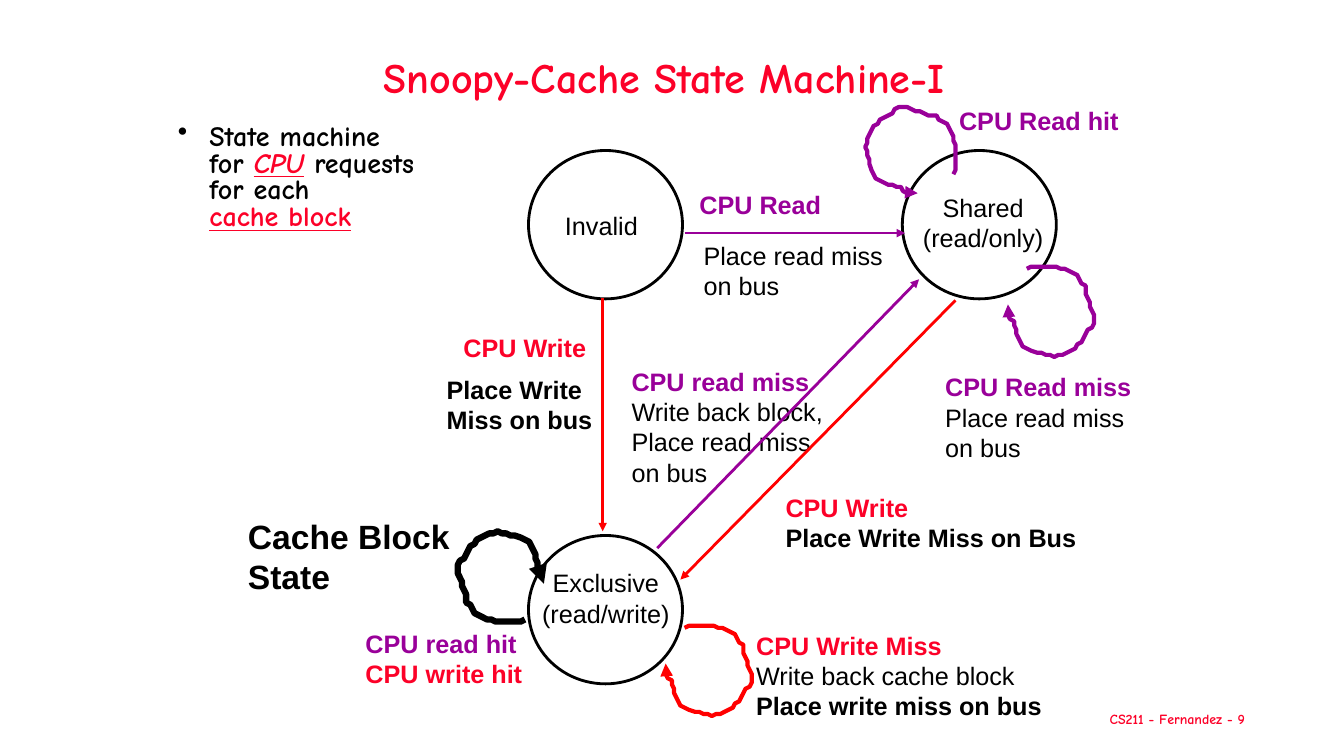
import pptx
import pptx.dml.color
import pptx.enum.shapes
import pptx.enum.text
import pptx.oxml.ns
import pptx.util
from lxml import etree

Pt = pptx.util.Pt
qn = pptx.oxml.ns.qn
KIND = pptx.enum.shapes.MSO_SHAPE
ALIGN = pptx.enum.text.PP_ALIGN
ANCHOR = pptx.enum.text.MSO_ANCHOR
FIT = pptx.enum.text.MSO_AUTO_SIZE

HUES = {"black": "000000", "white": "FFFFFF", "purple": "990099",
        "rose": "FC0128", "red": "FF0000"}

# Looks of text: colour and font format
LOOKS = {
    "plain": ("black", {}),
    "bold": ("black", {"bold": True}),
    "violet": ("purple", {"bold": True}),
    "rosy": ("rose", {"bold": True}),
    "key": ("rose", {"bold": True, "underline": True}),
    "slant": ("rose", {"bold": True, "underline": True, "italic": True}),
}

# Outline of a self-loop, in steps of 1.5 points
STEP = 1.5
LOOP = [
    (9, 1), (11, 0), (13, 0), (15, 0), (17, 0), (19, 0), (21, 0), (23, 0),
    (25, 1), (27, 1), (29, 2), (31, 3), (33, 4), (34, 6), (35, 8), (37, 9),
    (37, 11), (37, 13), (38, 15), (39, 17), (39, 19), (40, 21), (41, 23),
    (41, 25), (41, 27), (40, 29), (38, 30), (37, 32), (36, 34), (35, 36),
    (33, 37), (32, 39), (30, 40), (28, 41), (26, 42), (24, 42), (22, 43),
    (20, 42), (18, 42), (16, 41), (14, 41), (11, 40), (9, 39), (7, 38),
    (6, 36), (5, 34), (4, 32), (4, 30), (3, 28), (3, 26), (1, 25), (0, 23),
    (0, 21), (0, 19), (0, 18),
]
TURNS = {
    "none": lambda x, y: (x, y),
    "half": lambda x, y: (-x, -y),
    "swap": lambda x, y: (-y, -x),
}


class Sheet:
    def __init__(self, slide, face="Arial", size=18):
        self.slide, self.face, self.size = slide, face, size

    def hue(self, name):
        return pptx.dml.color.RGBColor.from_string(HUES[name])

    def stroke(self, shape, hue, width, arrow=False):
        shape.line.color.rgb = self.hue(hue)
        shape.line.width = Pt(width)
        if arrow:
            line = shape.line._get_or_add_ln()
            etree.SubElement(line, qn("a:tailEnd"), type="triangle")

    def fill_in(self, para, runs, face, size):
        for text, look in runs:
            hue, form = LOOKS[look]
            for i, part in enumerate(text.split("\n")):
                if i:
                    para.add_line_break()
                if not part:
                    continue
                run = para.add_run()
                run.text = part
                run.font.color.rgb = self.hue(hue)
                for key, val in {"name": face, "size": Pt(size), **form}.items():
                    setattr(run.font, key, val)

    def text(self, left, top, width, paras, high=None, face=None, size=None,
             fill=False, wrap=False, form=None, grow=True, mid=False):
        face, size = face or self.face, size or self.size
        high = high or 7.2 + 1.2 * size * len(paras)
        box = [Pt(v) for v in (left, top, width, high)]
        if fill:
            shape = self.slide.shapes.add_shape(KIND.RECTANGLE, *box)
            shape.shadow.inherit = False
            shape.fill.solid()
            shape.fill.fore_color.rgb = self.hue("white")
            shape.line.fill.background()
        else:
            shape = self.slide.shapes.add_textbox(*box)
        frame = shape.text_frame
        frame.word_wrap = wrap
        frame.auto_size = FIT.SHAPE_TO_FIT_TEXT if grow else FIT.NONE
        frame.vertical_anchor = ANCHOR.MIDDLE if mid else ANCHOR.TOP
        for i, runs in enumerate(paras):
            para = frame.add_paragraph() if i else frame.paragraphs[0]
            for key, val in {"alignment": ALIGN.LEFT, **(form or {})}.items():
                setattr(para, key, val)
            self.fill_in(para, runs, face, size)
        return frame

    def bullet(self, para, indent):
        props = para._p.get_or_add_pPr()
        props.set("marL", str(Pt(indent)))
        props.set("indent", str(-Pt(indent)))
        etree.SubElement(props, qn("a:buChar"), char="•")

    def circle(self, left, top):
        box = [Pt(v) for v in (left, top, 110, 106)]
        shape = self.slide.shapes.add_shape(KIND.OVAL, *box)
        shape.shadow.inherit = False
        shape.fill.background()
        self.stroke(shape, "black", 2)

    def arrow(self, start, end, hue):
        ends = [Pt(v) for v in (*start, *end)]
        line = self.slide.shapes.add_connector(
            pptx.enum.shapes.MSO_CONNECTOR.STRAIGHT, *ends)
        self.stroke(line, hue, 2, arrow=True)
        etree.SubElement(line._element.spPr, qn("a:effectLst"))

    def loop(self, left, top, turn, hue, width=3):
        dots = [TURNS[turn](x, y) for x, y in LOOP]
        pen = self.slide.shapes.build_freeform(*dots[0], scale=Pt(STEP))
        pen.add_line_segments(dots[1:], close=False)
        shape = pen.convert_to_shape(Pt(left), Pt(top))
        shape.shadow.inherit = False
        shape.fill.background()
        self.stroke(shape, hue, width, arrow=True)


def main():
    deck = pptx.Presentation()
    deck.slide_width, deck.slide_height = Pt(960), Pt(540)
    sheet = Sheet(deck.slides.add_slide(deck.slide_layouts[6]))
    comic = "Comic Neue"
    center = {"alignment": ALIGN.CENTER}

    # Footer, title and bullet
    sheet.text(767.5, 504, 147, [[("CS211 - Fernandez - 9", "rosy")]],
               face=comic, size=10, form=center)
    sheet.text(198, 36, 564, [[("Snoopy-Cache State Machine-I ", "rosy")]],
               high=42, face=comic, size=30, wrap=True, grow=False, mid=True,
               form={**center, "line_spacing": 0.9})
    body = sheet.text(
        120, 85.5, 285,
        [[("State machine\nfor ", "bold"), ("CPU", "slant"),
          (" requests\nfor each \n", "bold"), ("cache block", "key")]],
        high=76.5, face=comic, size=20, wrap=True, grow=False,
        form={"line_spacing": 0.8, "space_before": Pt(6)})
    sheet.bullet(body.paragraphs[0], 22.5)

    # State names
    sheet.text(396.5, 147, 67, [[("Invalid", "plain")]], fill=True)
    for left, top, width, name, mode in [
            (651.5, 133.5, 101.5, "Shared", "(read/only)"),
            (378, 402, 109.5, "Exclusive", "(read/write)")]:
        sheet.text(left, top, width, [[(name, "plain")], [(mode, "plain")]],
                   fill=True, wrap=True, form=center)

    # Labels: one (text, look) pair a line
    for left, top, width, *lines in [
            (492.5, 132, 102, ("CPU Read", "violet")),
            (324, 234, 102, ("CPU Write", "rosy")),
            (678, 72, 129.5, ("CPU Read hit", "violet")),
            (495.5, 168, 143, ("Place read miss", "plain"), ("on bus", "plain")),
            (444, 258, 151, ("CPU read miss", "violet"),
             ("Write back block,", "plain"), ("Place read miss", "plain"),
             ("on bus", "plain")),
            (554, 348, 222.5, ("CPU Write", "rosy"),
             ("Place Write Miss on Bus", "bold")),
            (668, 262, 149, ("CPU Read miss", "violet"),
             ("Place read miss", "plain"), ("on bus", "plain")),
            (533, 446.5, 220.5, ("CPU Write Miss", "rosy"),
             ("Write back cache block", "plain"),
             ("Place write miss on bus", "bold")),
            (254, 445, 127.5, ("CPU read hit", "violet"),
             ("CPU write hit", "rosy"))]:
        sheet.text(left, top, width, [[line] for line in lines], fill=True)
    sheet.text(312, 264, 119.5, [[("Place Write \nMiss on bus", "bold")]],
               high=50.4)
    sheet.text(170, 365, 160, [[("Cache Block", "bold")], [("State", "bold")]],
               size=24)

    # State circles
    for left, top in [(377.5, 107.5), (644.5, 107.5), (377.5, 382.5)]:
        sheet.circle(left, top)

    # Moves between states
    sheet.arrow((489, 166.5), (646.5, 166.5), "purple")
    sheet.arrow((430.5, 213), (430.5, 379.5), "red")
    sheet.arrow((469.5, 391.5), (656.5, 199.5), "purple")
    sheet.arrow((682.5, 214.5), (486, 414), "red")

    # Self-loops
    sheet.loop(475.5, 447, "none", "red")
    sheet.loop(720, 190.5, "none", "purple")
    sheet.loop(682.5, 138, "swap", "purple")
    sheet.loop(388.5, 444, "half", "black", 4.5)

    deck.save("out.pptx")


if __name__ == "__main__":
    main()
